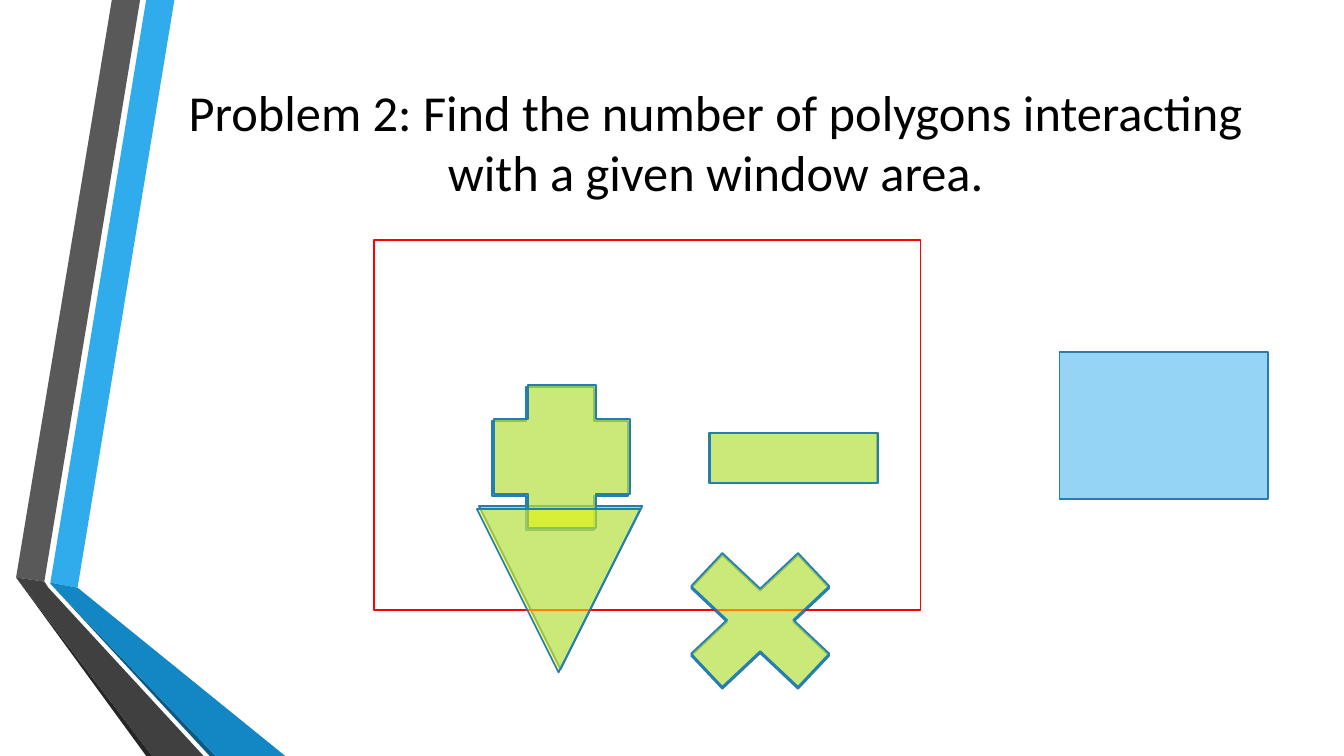
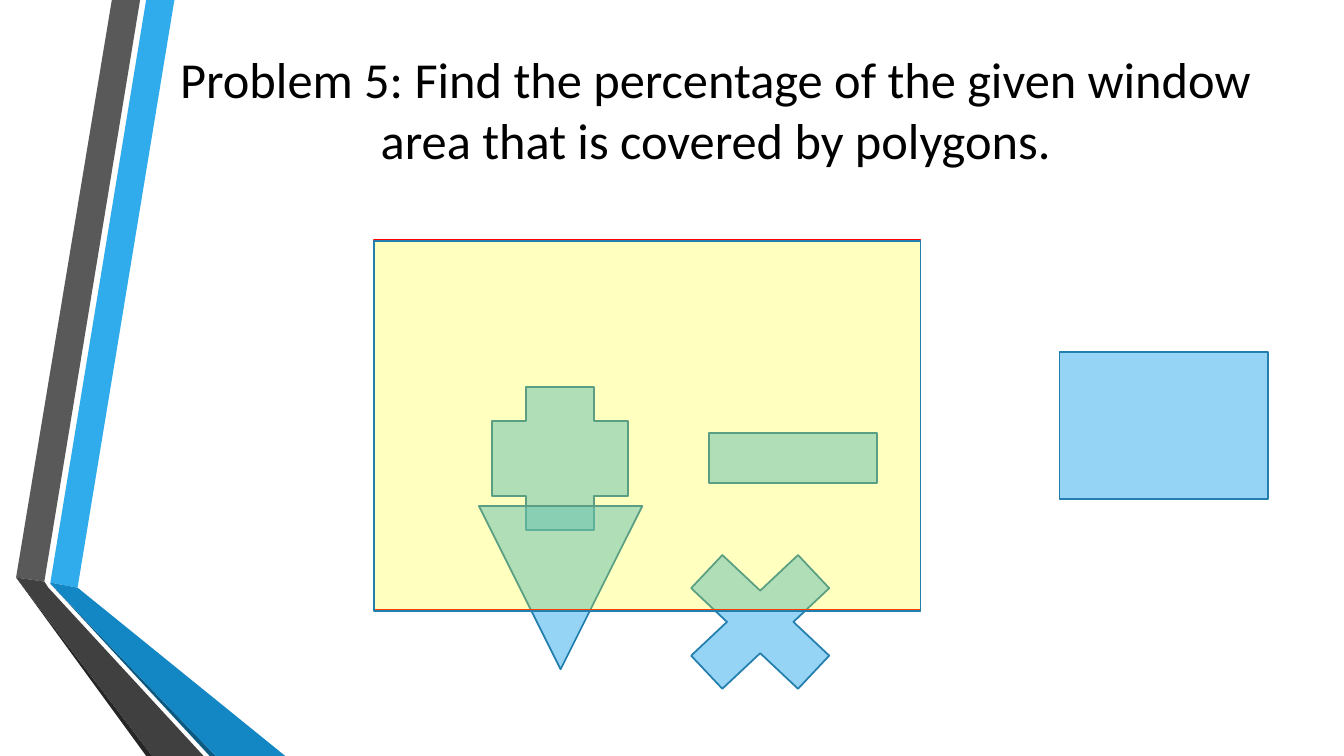
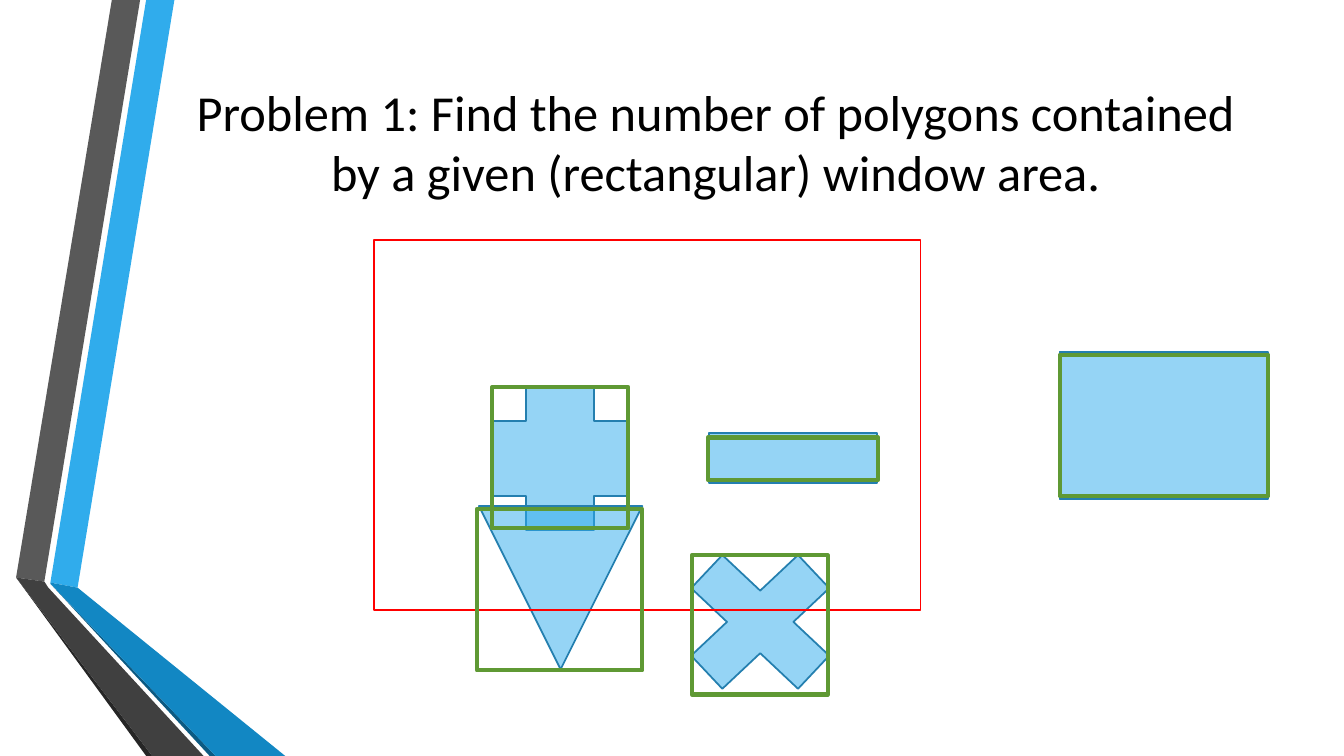
"""Build three slides on polygons that meet a window area."""
from lxml.etree import SubElement as Sub
from pptx import Presentation
from pptx.dml.color import RGBColor as Rgb
from pptx.enum.shapes import MSO_SHAPE as Kind
from pptx.enum.text import MSO_ANCHOR as Anchor, MSO_AUTO_SIZE as Fit, PP_ALIGN as Align
from pptx.oxml.ns import qn
from pptx.util import Inches, Pt

WIDE, HIGH = 13.33, 7.5
HUES = {
    "sky": "30ACEC", "grey": "595959", "black": "262626", "navy": "0C5A82",
    "blue": "1287C3", "coal": "404040", "edge": "247FAF", "sun": "FFFF00",
    "red": "FF0000", "green": "5F9934", "ink": "000000",
}
BANDS = [
    ("sky", [(0.5, 5.78), (0.77, 5.83), (1.73, 0), (1.45, 0)]),
    ("grey", [(1.39, 0), (1.11, 0), (0.16, 5.73), (0.44, 5.77)]),
    ("black", [(0.16, 5.73), (1.45, HIGH), (1.51, HIGH)]),
    ("navy", [(0.5, 5.79), (2.08, HIGH), (2.14, HIGH)]),
    ("blue", [(0.5, 5.79), (2.14, HIGH), (2.83, HIGH), (0.77, 5.83), (0.5, 5.78)]),
    ("coal", [(2.02, HIGH), (0.48, 5.83), (0.44, 5.77), (0.16, 5.73), (1.51, HIGH)]),
]
FIELD = (3.71, 2.38)
WINDOW = (0, 0, 5.42, 3.67)
POLYS = {
    "plus": (Kind.CROSS, (1.17, 1.46, 1.35, 1.42)),
    "minus": (Kind.MATH_MINUS, (3.02, 1.12, 2.27, 2.09)),
    "times": (Kind.MATH_MULTIPLY, (2.81, 2.83, 2.04, 1.92)),
    "wedge": (Kind.FLOWCHART_MERGE, (1.04, 2.64, 1.62, 1.62)),
    "block": (Kind.FLOWCHART_PROCESS, (6.8, 1.11, 2.07, 1.46)),
}
HITS = {"plus": (0.02, -0.02), "minus": (0.01, 0), "wedge": (-0.02, 0.03), "times": (0, -0.02)}
FRAMES = [
    (1.17, 1.46, 1.35, 1.4), (3.31, 1.96, 1.69, 0.42), (1.02, 2.67, 1.64, 1.6),
    (3.15, 3.13, 1.35, 1.38), (6.8, 1.14, 2.07, 1.4),
]


def hue(name):
    """Return the named colour."""
    return Rgb.from_string(HUES[name])


def paint(shape, fill=None, alpha=100, line=None, width=1.25):
    """Set fill, opacity and outline, and drop the shadow."""
    shape.shadow.inherit = False
    if fill:
        shape.fill.solid()
        shape.fill.fore_color.rgb = hue(fill)
        if alpha < 100:
            tint = shape.element.spPr.find(qn("a:solidFill")).find(qn("a:srgbClr"))
            Sub(tint, qn("a:alpha"), val=str(alpha * 1000))
    else:
        shape.fill.background()
    if line:
        shape.line.color.rgb = hue(line)
        shape.line.width = Pt(width)
    else:
        shape.line.fill.background()


def bands(slide, master):
    """Draw the side bands and move them to the master."""
    group = slide.shapes.add_group_shape()
    for name, points in BANDS:
        (x, y), *rest = [(Inches(a), Inches(b)) for a, b in points]
        pen = group.shapes.build_freeform(x, y)
        pen.add_line_segments(rest, close=True)
        paint(pen.convert_to_shape(), name)
    for num, node in enumerate(group.element.iter(qn("p:cNvPr")), 100):
        node.set("id", str(num))
    master.shapes.element.insert(2, group.element)


def head(slide, text, top):
    """Fill the title placeholder, with its top edge at the given height."""
    title = slide.shapes.title
    title.left, title.top, title.width, title.height = map(Inches, (1.62, top, 10.96, 1.92))
    frame = title.text_frame
    frame.text = text
    frame.word_wrap, frame.auto_size = True, Fit.NONE
    frame.vertical_anchor = Anchor.TOP
    para = frame.paragraphs[0]
    para.alignment = Align.CENTER
    para.font.name, para.font.size = "Calibri", Pt(36)
    para.font.color.rgb = hue("ink")


def put(slide, kind, box, shift=(0, 0), **look):
    """Add a shape whose box is measured from the corner of the field."""
    x, y, w, h = box
    left, top = (a + b + c for a, b, c in zip(FIELD, (x, y), shift))
    paint(slide.shapes.add_shape(kind, *map(Inches, (left, top, w, h))), **look)


def scene(slide):
    """Draw the blue polygons and the red window."""
    for kind, box in POLYS.values():
        put(slide, kind, box, fill="sky", alpha=51, line="edge")
    put(slide, Kind.FLOWCHART_PROCESS, WINDOW, line="red")


def touch(slide):
    """Light up the polygons that meet the window."""
    for name, shift in HITS.items():
        put(slide, *POLYS[name], shift, fill="sun", alpha=51, line="edge")


def cover(slide):
    """Tint the whole window."""
    put(slide, Kind.FLOWCHART_PROCESS, WINDOW, (0, 0.01), fill="sun", alpha=25, line="edge")


def bound(slide):
    """Frame each polygon with its bounding box."""
    for box in FRAMES:
        put(slide, Kind.FLOWCHART_PROCESS, box, line="green", width=3)


PAGES = [
    ("Problem 2: Find the number of polygons interacting with a given window area.", 0.75, touch),
    ("Problem 5: Find the percentage of the given window area that is covered by polygons.",
     0.43, cover),
    ("Problem 1: Find the number of polygons contained by a given (rectangular) window area.",
     0.75, bound),
]

deck = Presentation()
deck.slide_width, deck.slide_height = Inches(WIDE), Inches(HIGH)
for text, top, mark in PAGES:
    page = deck.slides.add_slide(deck.slide_layouts[5])
    head(page, text, top)
    scene(page)
    mark(page)
bands(deck.slides[0], deck.slide_master)
deck.save("out.pptx")
